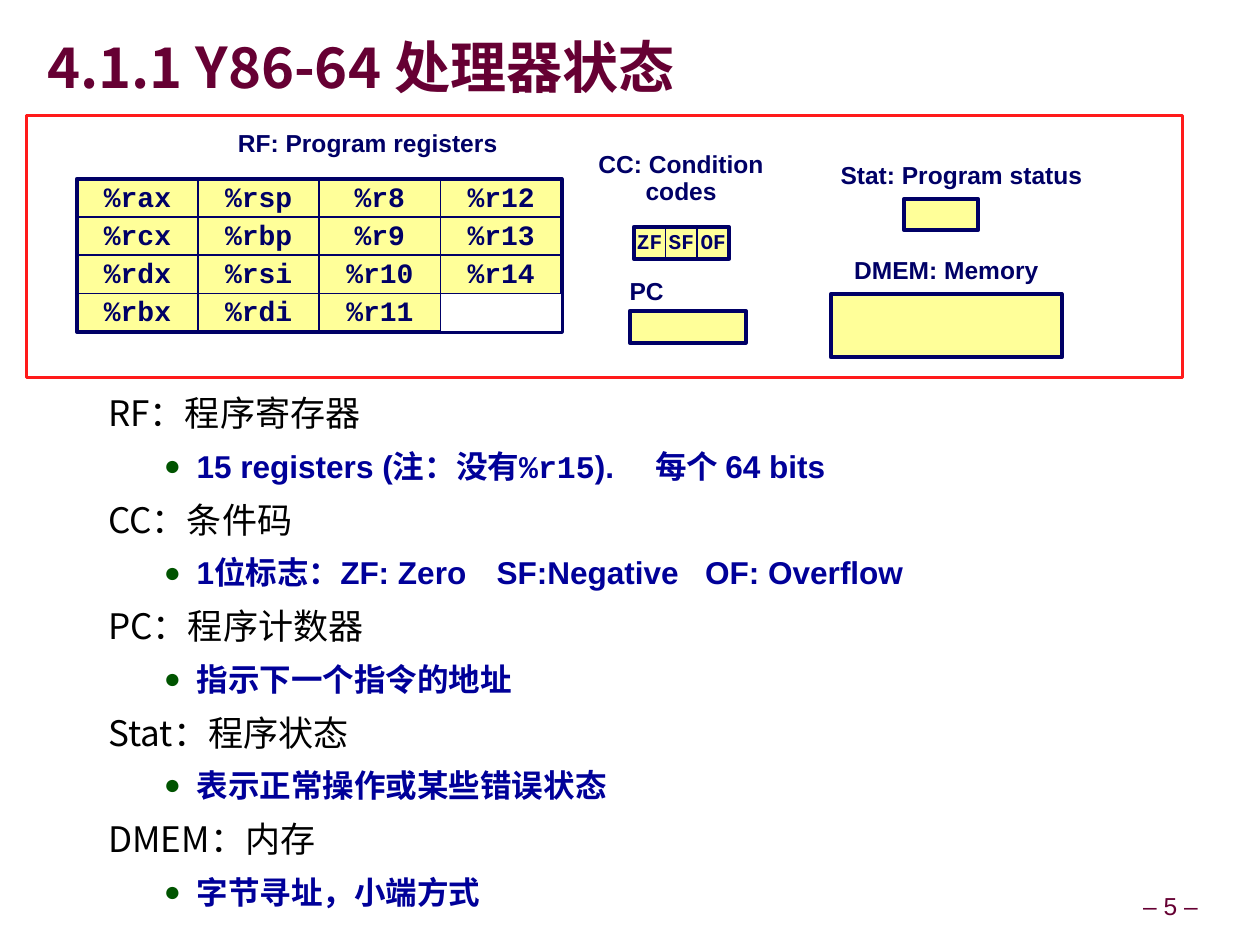
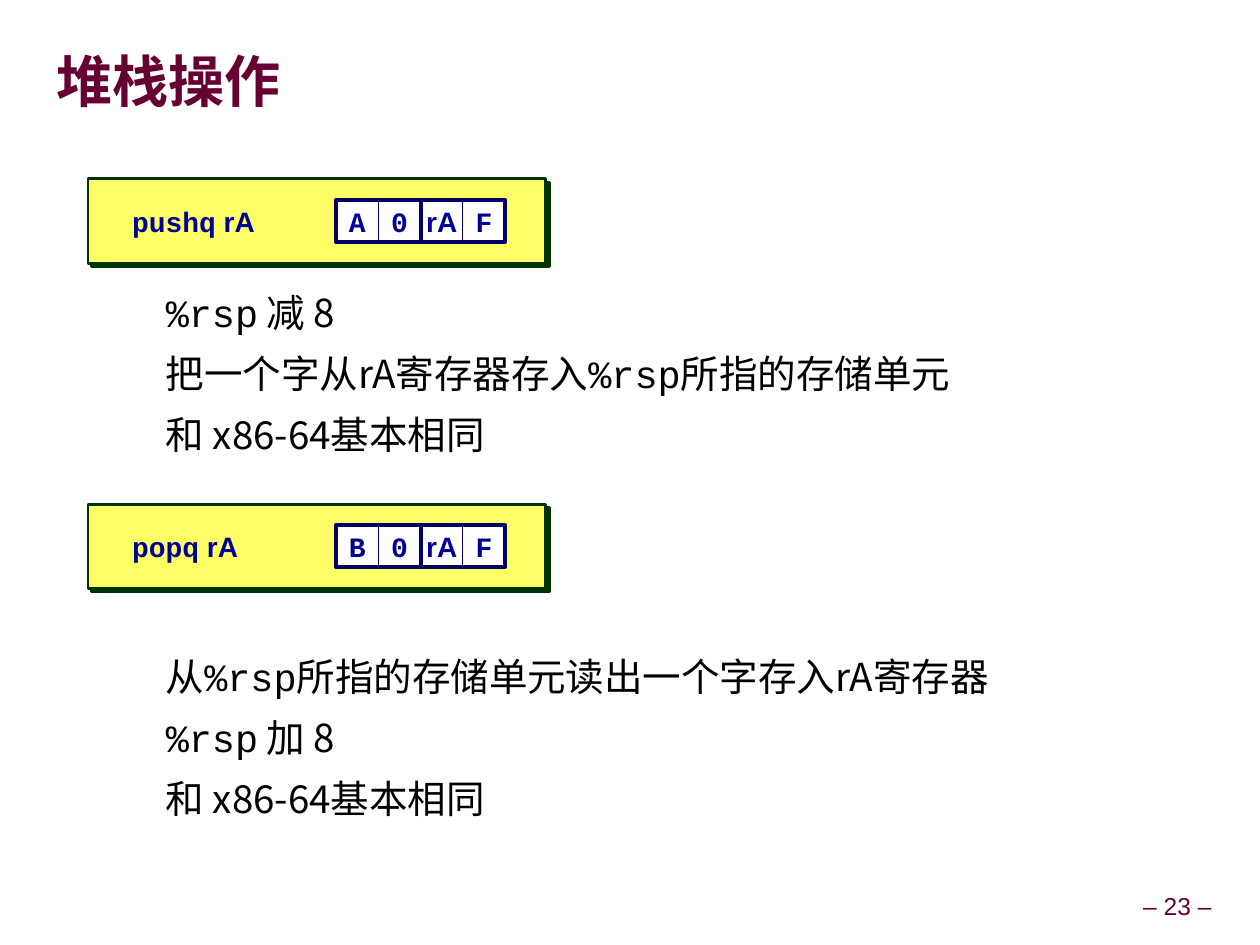
from dataclasses import dataclass

from lxml.etree import SubElement
from pptx import Presentation
from pptx.dml.color import RGBColor
from pptx.enum.shapes import MSO_SHAPE
from pptx.enum.text import MSO_ANCHOR, PP_ALIGN
from pptx.oxml.ns import qn
from pptx.util import Cm, Pt


@dataclass(frozen=True)
class Theme:
    sans: str = "Arial"
    mono: str = "Courier New"
    cjk: str = "Noto Sans CJK SC"
    maroon: str = "660033"
    navy: str = "000066"
    blue: str = "000099"
    black: str = "000000"
    bullet: str = "005400"
    cream: str = "FFFF99"
    yellow: str = "FFFF66"
    dark_green: str = "003300"
    red: str = "FF1A1A"
    white: str = "FFFFFF"
    title_size: int = 32
    operation_size: int = 22
    heading_size: int = 20
    detail_size: int = 18
    code_size: int = 16
    label_size: int = 14
    flag_size: int = 12
    body_line: float = 1.2


THEME = Theme()


def write(paragraph, text, *, font, size, color, bold=False,
          align=PP_ALIGN.LEFT, line=1.0, before=0):
    """Fill a paragraph from a string, or from a list of (text, font) runs."""
    paragraph.alignment = align
    paragraph.line_spacing = line
    paragraph.space_before = Pt(before)
    for words, face in [(text, font)] if isinstance(text, str) else text:
        run = paragraph.add_run()
        run.text = words
        run.font.name = face
        run.font.size = Pt(size)
        run.font.bold = bold
        run.font.color.rgb = RGBColor.from_string(color)
        east_asian = SubElement(run._r.get_or_add_rPr(), qn("a:ea"))
        east_asian.set("typeface", THEME.cjk)


def indent(paragraph, margin, hanging=0, bullet=False, tabs=()):
    """Set indents, bullet and tab stops, with lengths in centimetres."""
    properties = paragraph._p.get_or_add_pPr()
    properties.set("marL", str(Cm(margin)))
    properties.set("indent", str(Cm(-hanging)))
    if bullet:
        color = SubElement(properties, qn("a:buClr"))
        SubElement(color, qn("a:srgbClr")).set("val", THEME.bullet)
        SubElement(properties, qn("a:buSzPct")).set("val", "90000")
        SubElement(properties, qn("a:buFont")).set("typeface", THEME.sans)
        SubElement(properties, qn("a:buChar")).set("char", "●")
    if tabs:
        stops = SubElement(properties, qn("a:tabLst"))
        for position in tabs:
            stop = SubElement(stops, qn("a:tab"))
            stop.set("pos", str(Cm(position)))
            stop.set("algn", "l")


class Deck:
    def __init__(self, theme, width, height):
        self.theme = theme
        self.presentation = Presentation()
        self.presentation.slide_width = Cm(width)
        self.presentation.slide_height = Cm(height)
        self.slide = None

    def new_slide(self, title, number, left, top):
        t = self.theme
        layout = self.presentation.slide_layouts[6]
        self.slide = self.presentation.slides.add_slide(layout)
        heading = self.text_frame(left, top, 23.62, 2.06, inset=(0, 0), anchor=MSO_ANCHOR.MIDDLE)
        write(heading.paragraphs[0], title, font=t.cjk, size=t.title_size,
              color=t.maroon, bold=True, line=0.87)
        footer = self.text_frame(22.89, 17.88, 2, 0.79, inset=(0.13, 0.13),
                                 anchor=MSO_ANCHOR.MIDDLE)
        write(footer.paragraphs[0], f"– {number} –", font=t.sans,
              size=t.label_size, color=t.maroon, line=0.9)

    def text_frame(self, left, top, width, height, inset=(0.25, 0.13), anchor=MSO_ANCHOR.TOP):
        box = self.slide.shapes.add_textbox(Cm(left), Cm(top), Cm(width), Cm(height))
        frame = box.text_frame
        frame.word_wrap = True
        frame.vertical_anchor = anchor
        frame.margin_left = frame.margin_right = Cm(inset[0])
        frame.margin_top = frame.margin_bottom = Cm(inset[1])
        return frame

    def label(self, text, left, top, width, height=0.79):
        t = self.theme
        frame = self.text_frame(left, top, width, height)
        write(frame.paragraphs[0], text, font=t.sans, size=t.label_size,
              color=t.navy, bold=True, align=PP_ALIGN.CENTER, line=0.9)

    def rectangle(self, left, top, width, height, fill=None, line=None, weight=2.25):
        box = self.slide.shapes.add_shape(
            MSO_SHAPE.RECTANGLE, Cm(left), Cm(top), Cm(width), Cm(height))
        box.shadow.inherit = False
        if fill:
            box.fill.solid()
            box.fill.fore_color.rgb = RGBColor.from_string(fill)
        else:
            box.fill.background()
        box.line.color.rgb = RGBColor.from_string(line or self.theme.navy)
        box.line.width = Pt(weight)
        return box

    def cell(self, text, left, top, width, height, *, fill=None, weight=1, **text_format):
        box = self.rectangle(left, top, width, height, fill, weight=weight)
        if text:
            frame = box.text_frame
            frame.word_wrap = False
            frame.vertical_anchor = MSO_ANCHOR.MIDDLE
            write(frame.paragraphs[0], text, bold=True, align=PP_ALIGN.CENTER, **text_format)

    def storage_grid(self, rows, left, top, width, height, size):
        """Draw a framed grid of named cells; an unnamed cell is left white."""
        t = self.theme
        self.rectangle(left, top, width * len(rows[0]), height * len(rows), t.cream)
        for r, row in enumerate(rows):
            for c, name in enumerate(row):
                self.cell(name, left + c * width, top + r * height, width, height,
                          fill=None if name else t.white, font=t.mono, size=size,
                          color=t.navy, line=0.9)

    def component_list(self, components, left, top, width, height):
        t = self.theme
        frame = self.text_frame(left, top, width, height)
        for i, (heading, detail, tabs) in enumerate(components):
            paragraph = frame.add_paragraph() if i else frame.paragraphs[0]
            indent(paragraph, 1.4)
            write(paragraph, heading, font=t.cjk, size=t.heading_size,
                  color=t.black, line=t.body_line, before=3 if i else 0)
            paragraph = frame.add_paragraph()
            indent(paragraph, 3.18, 0.66, bullet=True, tabs=tabs)
            write(paragraph, detail, font=t.sans, size=t.detail_size,
                  color=t.blue, bold=True, line=t.body_line, before=3)

    def operation_steps(self, steps, top):
        t = self.theme
        frame = self.text_frame(1.69, top, 21.39, 4)
        for i, step in enumerate(steps):
            paragraph = frame.add_paragraph() if i else frame.paragraphs[0]
            indent(paragraph, 1.4)
            write(paragraph, step, font=t.cjk, size=t.operation_size,
                  color=t.black, line=t.body_line, before=3 if i else 0)

    def instruction_card(self, mnemonic, opcode, top):
        t = self.theme
        card = self.rectangle(1.77, top, 9.22, 1.7, t.yellow, t.dark_green, 1.5)
        effects = card.element.spPr.find(qn("a:effectLst"))
        shadow = SubElement(effects, qn("a:outerShdw"))
        for key, value in (("dist", Pt(2.8)), ("dir", 45 * 60000),
                           ("algn", "ctr"), ("rotWithShape", 0)):
            shadow.set(key, str(value))
        SubElement(shadow, qn("a:srgbClr")).set("val", t.dark_green)

        side, row_top, first = 0.85, top + 0.42, 6.77
        frame = self.text_frame(2.41, row_top, 4, side, anchor=MSO_ANCHOR.MIDDLE)
        write(frame.paragraphs[0], [(mnemonic, t.mono), (" rA", t.sans)],
              font=t.mono, size=t.code_size, color=t.blue, bold=True)
        for i, field in enumerate((opcode, "0", "rA", "F")):
            self.cell(field, first + i * side, row_top, side, side, fill=t.white,
                      weight=0.5, font=t.sans if field == "rA" else t.mono,
                      size=t.code_size, color=t.blue)
        for byte in range(2):
            self.rectangle(first + byte * 2 * side, row_top, 2 * side, side)


def processor_state(deck):
    t = deck.theme
    deck.new_slide("4.1.1 Y86-64 处理器状态", 5, 0.95, 0.4)
    deck.component_list([
        ("RF：程序寄存器",
         [("15 registers (注：没有", t.sans), ("%r15", t.mono), (").\t每个 64 bits", t.sans)],
         [12.41]),
        ("CC：条件码", "1位标志：ZF: Zero\tSF:Negative\tOF: Overflow", [9.22, 13.42]),
        ("PC：程序计数器", "指示下一个指令的地址", []),
        ("Stat：程序状态", "表示正常操作或某些错误状态", []),
        ("DMEM：内存", "字节寻址，小端方式", []),
    ], 0.53, 7.59, 23.04, 11)

    deck.label("RF: Program registers", 3.58, 2.51, 7.65)
    deck.storage_grid([
        ("%rax", "%rsp", "%r8", "%r12"),
        ("%rcx", "%rbp", "%r9", "%r13"),
        ("%rdx", "%rsi", "%r10", "%r14"),
        ("%rbx", "%rdi", "%r11", ""),
    ], 1.55, 3.6, 2.44, 0.77, t.code_size)

    deck.label("CC: Condition codes", 11.63, 2.94, 4.17, 1.35)
    deck.storage_grid([("ZF", "SF", "OF")], 12.76, 4.57, 0.64, 0.64, t.flag_size)

    for name, label_place, storage_place in (
            ("PC", (11.85, 5.49, 2.34), (12.68, 6.26, 2.34, 0.64)),
            ("Stat: Program status", (16.3, 3.15, 6.12), (18.21, 4, 1.48, 0.64)),
            ("DMEM: Memory", (16.73, 5.07, 4.65), (16.73, 5.92, 4.65, 1.27))):
        deck.label(name, *label_place)
        deck.rectangle(*storage_place, fill=t.cream)
    deck.rectangle(0.54, 2.32, 23.27, 5.28, line=t.red, weight=1.5)


def stack_operations(deck):
    t = deck.theme
    deck.new_slide("堆栈操作", 23, 1.13, 0.69)
    same_as_x86 = "和 x86-64基本相同"
    deck.operation_steps([
        [("%rsp", t.mono), (" 减 8", t.cjk)],
        [("把一个字从rA寄存器存入", t.cjk), ("%rsp", t.mono), ("所指的存储单元", t.cjk)],
        same_as_x86,
    ], 5.51)
    deck.operation_steps([
        [("从", t.cjk), ("%rsp", t.mono), ("所指的存储单元读出一个字存入rA寄存器", t.cjk)],
        [("%rsp", t.mono), (" 加 8", t.cjk)],
        same_as_x86,
    ], 12.83)
    deck.instruction_card("pushq", "A", 3.6)
    deck.instruction_card("popq", "B", 10.15)


def main():
    deck = Deck(THEME, 25.37, 19.02)
    processor_state(deck)
    stack_operations(deck)
    deck.presentation.save("out.pptx")


if __name__ == "__main__":
    main()
